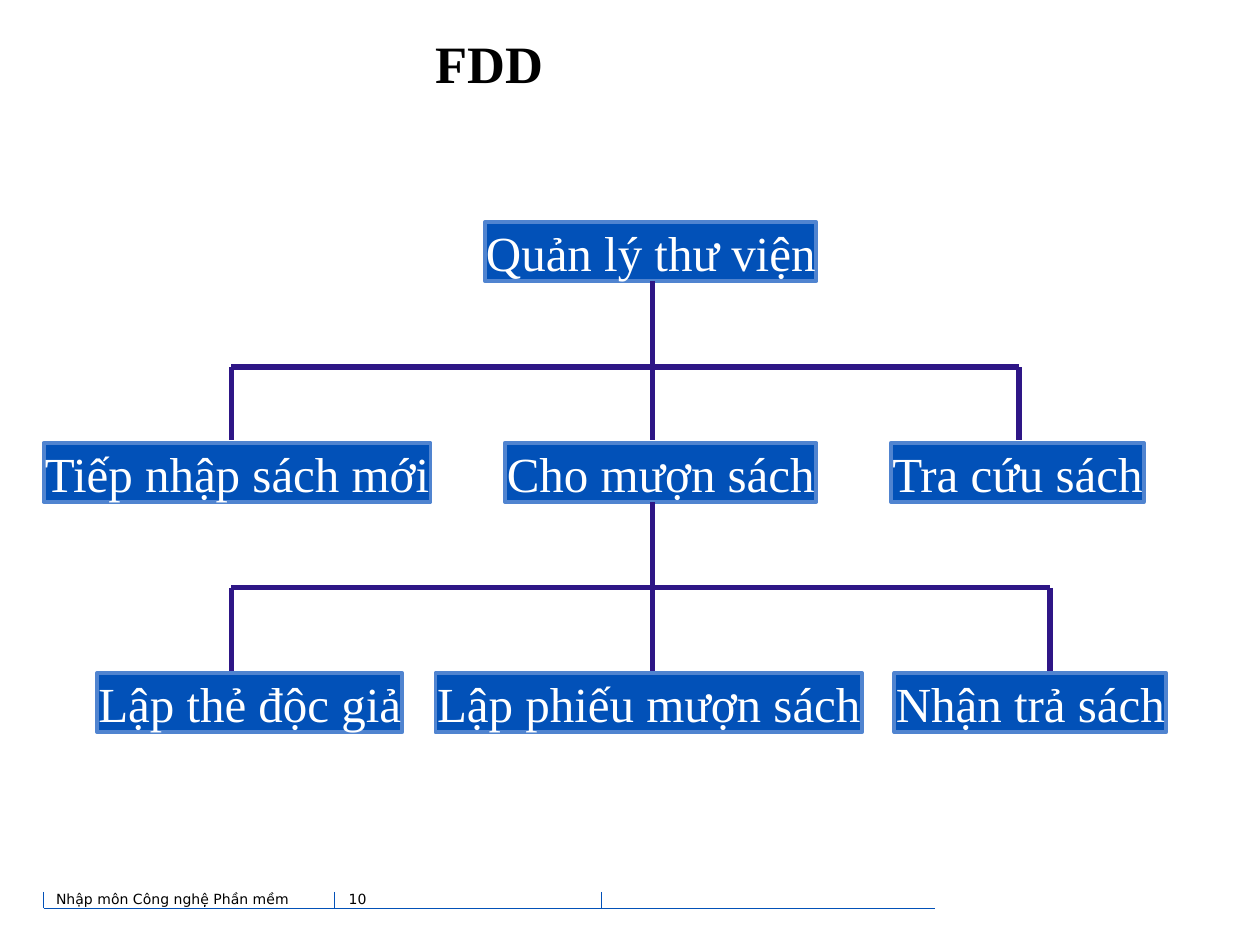
import pptx
import pptx.dml.color
import pptx.enum.shapes
import pptx.enum.text
import pptx.oxml.ns
import pptx.util
from lxml import etree

Cm = pptx.util.Cm
Pt = pptx.util.Pt
Anchor = pptx.enum.text.MSO_ANCHOR
Align = pptx.enum.text.PP_ALIGN

BLUE, BLUE_EDGE, VIOLET = "0251B8", "5084D0", "2E1686"
SERIF, SANS = "Times New Roman", "DejaVu Sans"
NODE_HEIGHT = 1.19
BAR_DROP = 1.73

ROOT = ("Quản lý thư viện", 8.9, 6.68)
FUNCTIONS = [
    ("Tiếp nhập sách mới", 0, 7.8),
    ("Cho mượn sách", 9.3, 6.28),
    ("Tra cứu sách", 17.08, 5.1),
]
LENDING_STEPS = [
    ("Lập thẻ độc giả", 1.08, 6.15),
    ("Lập phiếu mượn sách", 7.9, 8.6),
    ("Nhận trả sách", 17.15, 5.48),
]


def color(hex_code):
    """Turn a hex string into an RGB colour."""
    return pptx.dml.color.RGBColor.from_string(hex_code)


def add_line(slide, x1, y1, x2, y2, hex_code, weight):
    """Draw a straight line without shadow, with ends in centimetres."""
    line = slide.shapes.add_connector(
        pptx.enum.shapes.MSO_CONNECTOR.STRAIGHT, Cm(x1), Cm(y1), Cm(x2), Cm(y2))
    line.line.color.rgb = color(hex_code)
    line.line.width = Pt(weight)
    etree.SubElement(line._element.spPr, pptx.oxml.ns.qn("a:effectLst"))


def set_text(shape, text, font, size, hex_code, align, anchor, inset=0, bold=False, wrap=True):
    """Fill a shape with one styled paragraph."""
    frame = shape.text_frame
    frame.word_wrap = wrap
    frame.auto_size = pptx.enum.text.MSO_AUTO_SIZE.NONE
    frame.vertical_anchor = anchor
    frame.margin_left = frame.margin_right = Cm(inset)
    frame.margin_top = frame.margin_bottom = Cm(inset)
    paragraph = frame.paragraphs[0]
    paragraph.text = text
    paragraph.alignment = align
    paragraph.font.name = font
    paragraph.font.size = Pt(size)
    paragraph.font.bold = bold
    paragraph.font.color.rgb = color(hex_code)


def add_title(slide, left, top, width, height):
    """Place the centred slide title."""
    title = slide.shapes.add_textbox(Cm(left), Cm(top), Cm(width), Cm(height))
    set_text(title, "FDD", SERIF, 30, "000000", Align.CENTER, Anchor.MIDDLE, bold=True)


def add_node(slide, text, left, top, width):
    """Place one function box of the diagram."""
    node = slide.shapes.add_shape(
        pptx.enum.shapes.MSO_SHAPE.RECTANGLE, Cm(left), Cm(top), Cm(width), Cm(NODE_HEIGHT))
    node.shadow.inherit = False
    node.fill.solid()
    node.fill.fore_color.rgb = color(BLUE)
    node.line.color.rgb = color(BLUE_EDGE)
    node.line.width = Pt(2.24)
    set_text(node, text, SERIF, 28, "FFFFFF", Align.CENTER, Anchor.MIDDLE, wrap=False)


def add_branches(slide, parent_top, child_top, trunk, drops):
    """Join a parent node to the row of nodes below it."""
    parent_bottom = parent_top + NODE_HEIGHT
    bar = parent_bottom + BAR_DROP
    add_line(slide, trunk, parent_bottom, trunk, bar, VIOLET, 3)
    add_line(slide, drops[0], bar, drops[-1], bar, VIOLET, 3)
    for drop in drops:
        add_line(slide, drop, bar, drop, child_top - 0.05, VIOLET, 3)


def add_function_tree(slide, left, top):
    """Draw the three levels of the function decomposition diagram."""
    root_top, functions_top, steps_top = top, top + 4.45, top + 9.09
    levels = [(root_top, [ROOT]), (functions_top, FUNCTIONS), (steps_top, LENDING_STEPS)]
    for level_top, nodes in levels:
        for text, offset, width in nodes:
            add_node(slide, text, left + offset, level_top, width)
    first, trunk = left + 3.78, left + 12.27
    add_branches(slide, root_top, functions_top, trunk, [first, trunk, left + 19.66])
    add_branches(slide, functions_top, steps_top, trunk, [first, trunk, left + 20.29])


def add_footer(slide, left, baseline, width):
    """Draw the footer rule with its ticks, course name and page number."""
    add_line(slide, left, baseline, left + width, baseline, BLUE, 0.74)
    for tick in (0, 5.87, 11.25):
        add_line(slide, left + tick, baseline - 0.33, left + tick, baseline, BLUE, 0.74)
    for text, offset, label_width in (
            ("Nhập môn Công nghệ Phần mềm", 0.15, 5.56), ("10", 6.05, 3.18)):
        label = slide.shapes.add_textbox(
            Cm(left + offset), Cm(baseline - 0.45), Cm(label_width), Cm(0.64))
        set_text(label, text, SANS, 8, "000000", Align.LEFT, Anchor.TOP, inset=0.1)


def main():
    """Build the slide and save it."""
    deck = pptx.Presentation()
    deck.slide_width, deck.slide_height = Cm(25.4), Cm(19.05)
    slide = deck.slides.add_slide(deck.slide_layouts[6])
    add_footer(slide, 0.88, 18.31, 17.96)
    add_title(slide, 0.88, 0.18, 17.96, 2.16)
    add_function_tree(slide, 0.88, 4.48)
    deck.save("out.pptx")


main()
